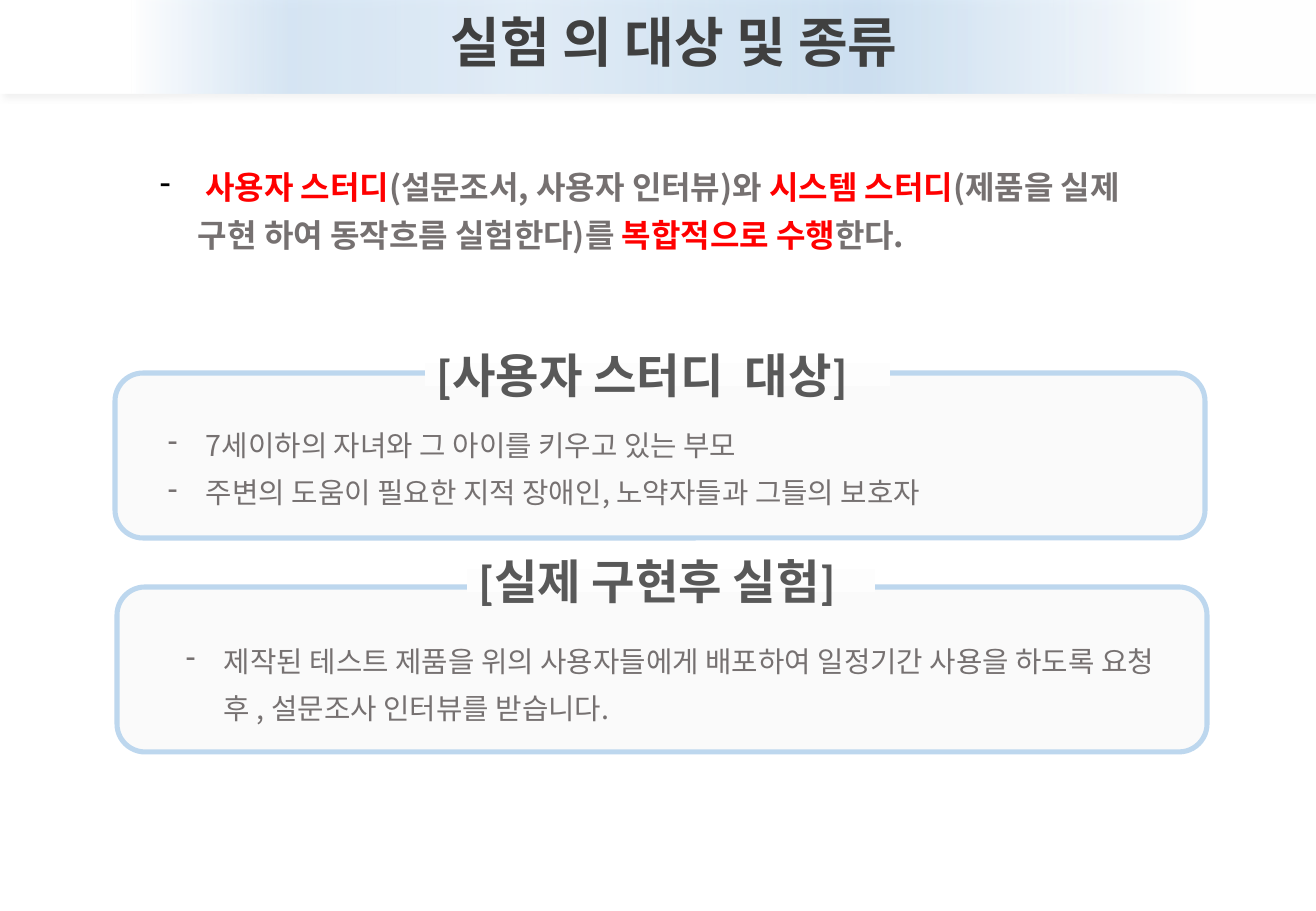
from lxml import etree
from pptx import Presentation
from pptx.dml.color import RGBColor
from pptx.enum.shapes import MSO_SHAPE
from pptx.enum.text import MSO_ANCHOR, MSO_AUTO_SIZE, PP_ALIGN
from pptx.oxml.ns import qn
from pptx.util import Pt

RECT, ROUNDED = MSO_SHAPE.RECTANGLE, MSO_SHAPE.ROUNDED_RECTANGLE
TOP, MIDDLE = MSO_ANCHOR.TOP, MSO_ANCHOR.MIDDLE
LEFT, CENTER = PP_ALIGN.LEFT, PP_ALIGN.CENTER
FIXED = MSO_AUTO_SIZE.NONE
EMU_PER_PIXEL = 914400 / 121.5
HANGUL = "Noto Sans CJK KR"
RED, GRAY, BLACK = "FF0000", "767171", "000000"


def px(length):
    return round(length * EMU_PER_PIXEL)


def rgb(value):
    return RGBColor.from_string(value)


def assign(target, values):
    for name, value in values.items():
        setattr(target, name, value)


def add_xml(parent, tag, **attributes):
    return etree.SubElement(parent, qn(tag), attributes)


def add_color(parent, value, opacity=100):
    color = add_xml(parent, "a:srgbClr", val=value)
    if opacity < 100:
        add_xml(color, "a:alpha", val=str(opacity * 1000))


class Board:
    def __init__(self, width, height):
        self.deck = Presentation()
        assign(self.deck, {"slide_width": px(width), "slide_height": px(height)})
        self.slide = self.deck.slides.add_slide(self.deck.slide_layouts[6])
        self.shapes = self.slide.shapes

    def shape(self, kind, box):
        shape = self.shapes.add_shape(kind, *map(px, box))
        shape.shadow.inherit = False
        shape.line.fill.background()
        return shape

    def gradient(self, kind, box, stops, angle):
        shape = self.shape(kind, box)
        shape.fill.gradient()
        shape.fill.gradient_angle = angle
        stop_list = shape._element.spPr.find(qn("a:gradFill")).find(qn("a:gsLst"))
        for stop in list(stop_list):
            stop_list.remove(stop)
        for position, value, opacity in stops:
            add_color(add_xml(stop_list, "a:gs", pos=str(position * 1000)), value, opacity)
        return shape

    def banner(self, box, stops):
        shape = self.gradient(ROUNDED, box, stops, 180)
        shape.adjustments[0] = 0
        effects = shape._element.spPr.find(qn("a:effectLst"))
        shadow = add_xml(effects, "a:outerShdw", blurRad=str(Pt(4)), dist=str(Pt(3)),
                         dir="2700000", algn="tl", rotWithShape="0")
        add_color(shadow, "DBDBDB", 40)

    def panel(self, box):
        shape = self.shape(ROUNDED, box)
        shape.adjustments[0] = 0.17
        shape.fill.solid()
        shape.fill.fore_color.rgb = rgb("F2F2F2")
        fill_color = shape._element.spPr.find(qn("a:solidFill"))[0]
        add_xml(fill_color, "a:alpha", val="37000")
        shape.line.color.rgb = rgb("BDD7EE")
        shape.line.width = Pt(3)

    def add_words(self, paragraph, text, size, color, bold, font=HANGUL):
        run = paragraph.add_run()
        run.text = text
        assign(run.font, {"name": font, "size": Pt(size), "bold": bold})
        run.font.color.rgb = rgb(color)
        add_xml(run._r.get_or_add_rPr(), "a:ea", typeface=HANGUL)

    def line(self, shape, text, size, color, font, align):
        frame = shape.text_frame
        assign(frame, {"word_wrap": False, "auto_size": FIXED, "vertical_anchor": MIDDLE})
        paragraph = frame.paragraphs[0]
        paragraph.alignment = align
        self.add_words(paragraph, text, size, color, True, font)

    def title(self, box, text):
        self.line(self.shapes.add_textbox(*map(px, box)), text, 32, "404040", "Arial", CENTER)

    def heading(self, box, text):
        shape = self.gradient(RECT, box, [(0, "FFFFFF", 100), (100, "FAFAFA", 100)], 270)
        self.line(shape, text, 28, "595959", "Calibri", LEFT)

    def bullets(self, box, items, size, bold=False):
        frame = self.shapes.add_textbox(*map(px, box)).text_frame
        assign(frame, {"word_wrap": True, "auto_size": FIXED, "vertical_anchor": TOP})
        for index, runs in enumerate(items):
            paragraph = frame.add_paragraph() if index else frame.paragraphs[0]
            assign(paragraph, {"line_spacing": Pt(28), "alignment": LEFT})
            properties = paragraph._p.get_or_add_pPr()
            properties.set("marL", str(px(38)))
            properties.set("indent", str(px(-38)))
            add_xml(properties, "a:buChar", char="-")
            for text, color in runs:
                self.add_words(paragraph, text, size, color, bold)


board = Board(1316, 911)

board.bullets((148, 153, 1018, 154), [[
    (" ", BLACK),
    ("사용자 스터디", RED),
    ("(설문조서, 사용자 인터뷰)와 ", GRAY),
    ("시스템 스터디", RED),
    ("(제품을 실제 구현 하여 동작흐름 실험한다)를 ", GRAY),
    ("복합적으로 수행", RED),
    ("한다.", GRAY),
]], 19, True)

sections = [
    ((115, 373), (156, 409), (425, 340, 465, 69), "[사용자 스터디  대상]",
     ["7세이하의 자녀와 그 아이를 키우고 있는 부모",
      "주변의 도움이 필요한 지적 장애인, 노약자들과 그들의 보호자"]),
    ((117, 587), (174, 625), (467, 546, 408, 69), "[실제 구현후 실험]",
     ["제작된 테스트 제품을 위의 사용자들에게 배포하여 일정기간 사용을 하도록 요청 후 , "
      "설문조사 인터뷰를 받습니다."]),
]
for panel_corner, list_corner, heading_box, heading, items in sections:
    board.panel((*panel_corner, 1090, 165))
    board.bullets((*list_corner, 1018, 200), [[(item, GRAY)] for item in items], 17)
    board.heading(heading_box, heading)

board.banner((0, -1, 1316, 94), [
    (9, "FFFFFF", 95), (22, "DEEBF7", 79), (34, "BDD7EE", 72),
    (60, "DEEBF7", 85), (78, "CEE1F3", 78), (90, "FFFFFF", 100),
])
board.title((408, 2, 533, 77), "실험 의 대상 및 종류")

board.deck.save("out.pptx")
